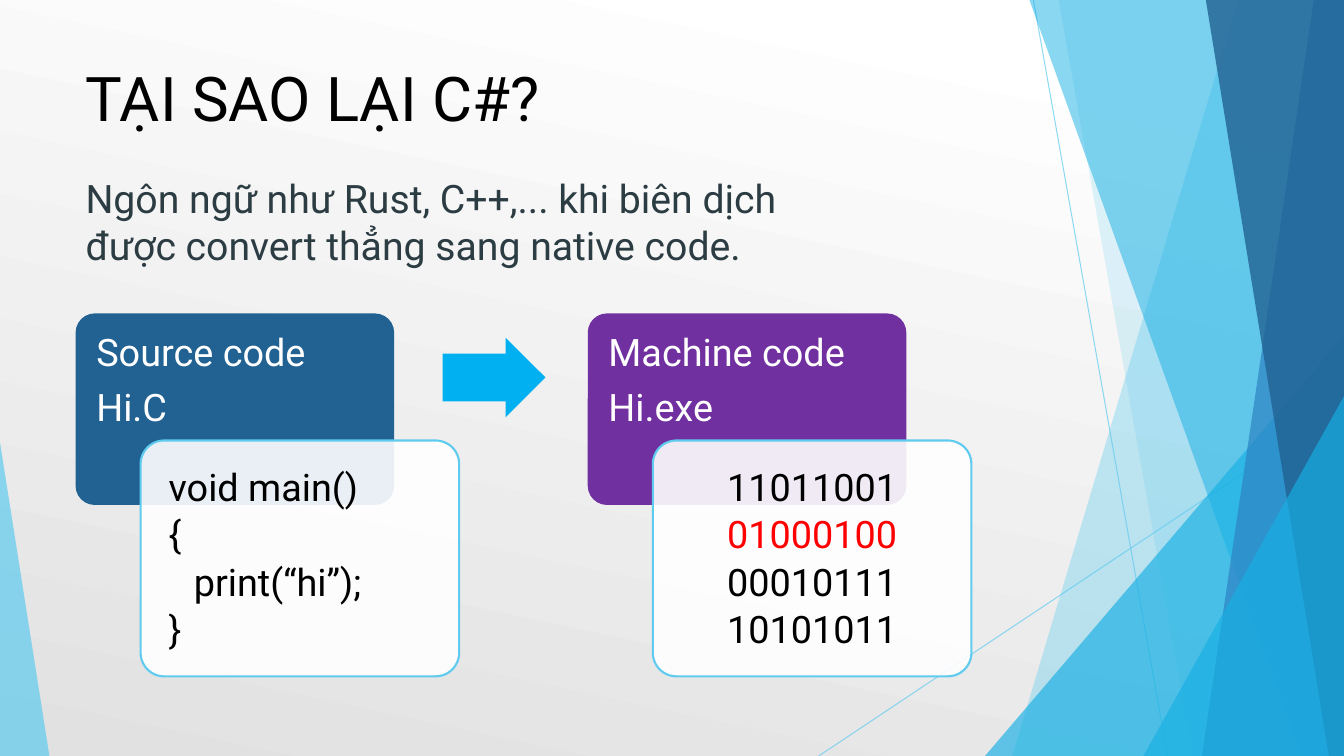
import lxml.etree
import pptx
import pptx.dml.color
import pptx.enum.shapes
import pptx.enum.text
import pptx.oxml.ns
import pptx.util

Inches = pptx.util.Inches
Pt = pptx.util.Pt
SHAPES = pptx.enum.shapes.MSO_SHAPE
ALIGN = pptx.enum.text.PP_ALIGN
WIDTH, HEIGHT = 13.33, 7.5
FONT = "Roboto"
COLORS = {
    "white": "FFFFFF", "grey": "E1E1E1", "black": "000000", "slate": "2C3C43",
    "sky": "5FCBEF", "cyan": "17B0E4", "blue": "2E83C3", "navy": "226292",
    "purple": "7030A0", "arrow": "00B0F0", "red": "FF0000",
}


def rgb(name):
    """Return the named colour."""
    return pptx.dml.color.RGBColor.from_string(COLORS[name])


def set_alpha(element, percent):
    """Set the opacity of the first colour found in an element."""
    color = next(element.iter(pptx.oxml.ns.qn("a:srgbClr")))
    alpha = lxml.etree.SubElement(color, pptx.oxml.ns.qn("a:alpha"))
    alpha.set("val", str(percent * 1000))


def paint(shape, color, opacity=100):
    """Give a shape a flat fill without line or shadow."""
    shape.shadow.inherit = False
    shape.fill.solid()
    shape.fill.fore_color.rgb = rgb(color)
    if opacity < 100:
        set_alpha(shape.fill._xPr, opacity)
    shape.line.fill.background()


def add_preset(slide, kind, box, adjustments, color, opacity=100):
    """Add a painted preset shape in a box of inches."""
    shape = slide.shapes.add_shape(kind, *map(Inches, box))
    for index, value in enumerate(adjustments):
        shape.adjustments[index] = value
    paint(shape, color, opacity)
    return shape


def write(shape, lines, size, color, insets=(0.1, 0.05), spacing=None, after=0):
    """Write one paragraph per line at the top left of a shape."""
    frame = shape.text_frame
    frame.word_wrap = True
    frame.vertical_anchor = pptx.enum.text.MSO_ANCHOR.TOP
    frame.margin_left = frame.margin_right = Inches(insets[0])
    frame.margin_top = frame.margin_bottom = Inches(insets[1])
    frame.text = "\n".join(lines)
    for paragraph in frame.paragraphs:
        paragraph.alignment = ALIGN.LEFT
        paragraph.line_spacing = spacing
        paragraph.space_after = Pt(after)
        for run in paragraph.runs:
            run.font.name = FONT
            run.font.size = Pt(size)
            run.font.color.rgb = rgb(color)
    return frame.paragraphs


def add_background(slide):
    """Fill the slide with a white to grey gradient."""
    fill = slide.background.fill
    fill.gradient()
    fill.gradient_angle = 258
    for stop, position, color in zip(fill.gradient_stops, (0.1, 1), ("white", "grey")):
        stop.position = position
        stop.color.rgb = rgb(color)


def add_facets(slide):
    """Draw the translucent facets and thin lines at the slide edges."""
    for start, end in (((10.25, 0), (11.58, HEIGHT)), ((WIDTH, 4.03), (8.12, HEIGHT))):
        line = slide.shapes.add_connector(
            pptx.enum.shapes.MSO_CONNECTOR.STRAIGHT, *map(Inches, start + end))
        line.line.color.rgb = rgb("sky")
        line.line.width = Pt(0.75)
        properties = line._element.spPr
        set_alpha(properties, 70)
        lxml.etree.SubElement(properties, pptx.oxml.ns.qn("a:effectLst"))

    def add_band(top, bottom, color, opacity):
        """Add a facet from a slanted left edge to the slide's right edge."""
        builder = slide.shapes.build_freeform(Inches(top), 0)
        corners = ((WIDTH, 0), (WIDTH, HEIGHT), (bottom, HEIGHT))
        builder.add_line_segments([(Inches(x), Inches(y)) for x, y in corners])
        paint(builder.convert_to_shape(), color, opacity)

    def add_corner(left, top, width, apex, color, opacity):
        """Add a right triangle standing on the slide's bottom edge."""
        box = (left, top, width, HEIGHT - top)
        add_preset(slide, SHAPES.ISOSCELES_TRIANGLE, box, [apex], color, opacity)

    add_band(12.28, 10.04, "sky", 36)
    add_band(10.5, 11.83, "sky", 20)
    add_corner(9.77, 3.33, 3.56, 1, "cyan", 66)
    add_band(10.21, 12.91, "cyan", 50)
    add_band(13.03, 11.92, "blue", 70)
    add_band(11.96, 13.18, "navy", 80)
    add_corner(11.34, 3.93, 1.99, 1, "cyan", 66)
    add_corner(0, 4.39, 0.49, 0, "sky", 70)


def add_text(slide, box, lines, size, color):
    """Add a text box."""
    write(slide.shapes.add_textbox(*map(Inches, box)), lines, size, color)


def add_stage(slide, left, top, color, heading, code):
    """Add a heading card with a code card overlapping it; return the code lines."""
    width = 3.16
    card = add_preset(slide, SHAPES.ROUNDED_RECTANGLE, (left, top, width, 1.9), [0.1], color)
    write(card, heading, 27, "white", (0.15, 0.15), 0.9, 10)
    box = (left + 0.645, top + 1.26, width, 2.34)
    sheet = add_preset(slide, SHAPES.ROUNDED_RECTANGLE, box, [0.1], "white", 90)
    sheet.line.color.rgb = rgb("sky")
    sheet.line.width = Pt(1.5)
    return write(sheet, code, 27, "black", (0.21, 0.21), 0.9, 4.75)


def add_process(slide, left, top):
    """Show source code turning into machine code."""
    source = add_stage(slide, left, top, "navy", ["Source code", "Hi.C"],
                       ["void main()", "{", "print(“hi”);", "}"])
    source[2]._p.get_or_add_pPr().set("marL", str(Inches(0.25)))
    add_preset(slide, SHAPES.RIGHT_ARROW, (left + 3.64, top + 0.24, 1.02, 0.79),
               [0.6, 0.5], "arrow")
    machine = add_stage(slide, left + 5.08, top, "purple", ["Machine code", "Hi.exe"],
                        ["11011001", "01000100", "00010111", "10101011"])
    for paragraph in machine:
        paragraph.alignment = ALIGN.CENTER
    machine[1].runs[0].font.color.rgb = rgb("red")


def main():
    """Build and save the slide."""
    presentation = pptx.Presentation()
    presentation.slide_width = Inches(WIDTH)
    presentation.slide_height = Inches(HEIGHT)
    slide = presentation.slides.add_slide(presentation.slide_layouts[6])
    add_background(slide)
    add_facets(slide)
    add_text(slide, (0.75, 0.55, 9.33, 1), ["TẠI SAO LẠI C#?"], 44, "black")
    add_text(slide, (0.75, 1.68, 7.87, 1.04),
             ["Ngôn ngữ như Rust, C++,... khi biên dịch",
              "được convert thẳng sang native code."], 28, "slate")
    add_process(slide, 0.75, 3.11)
    presentation.save("out.pptx")


if __name__ == "__main__":
    main()
